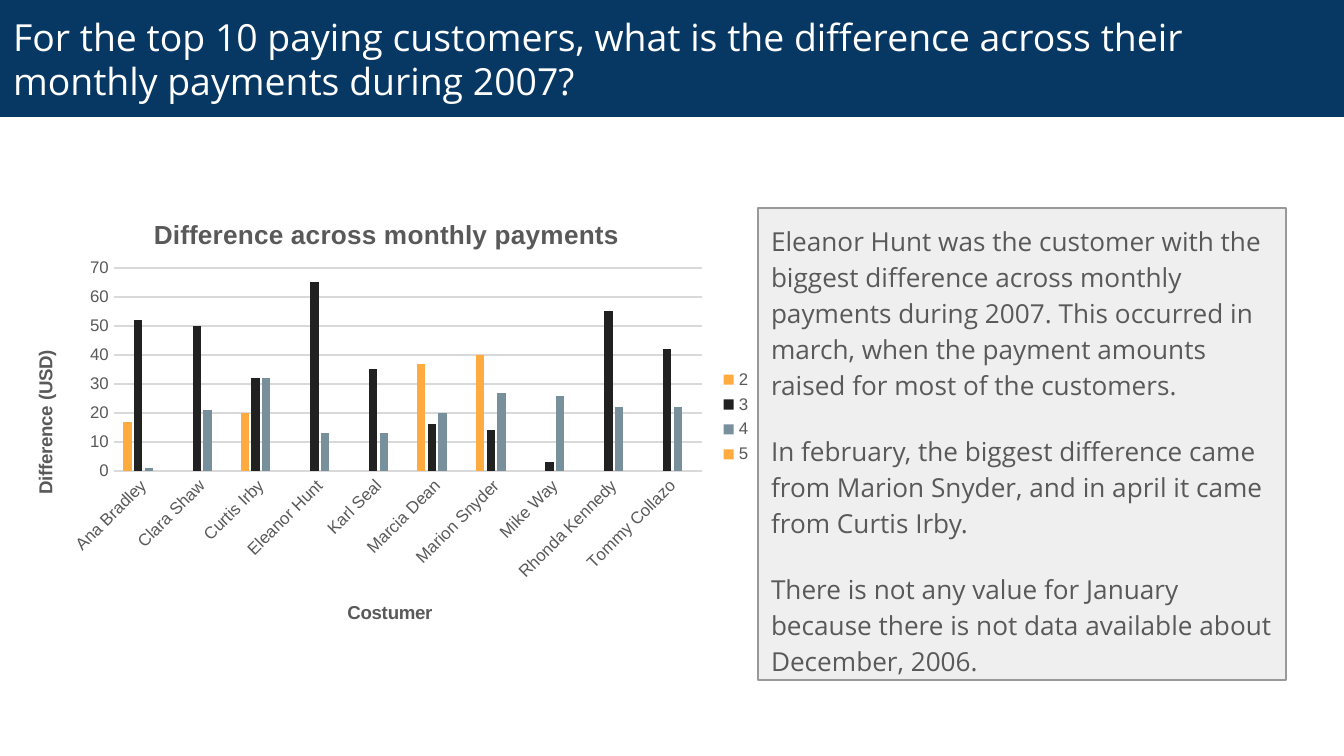
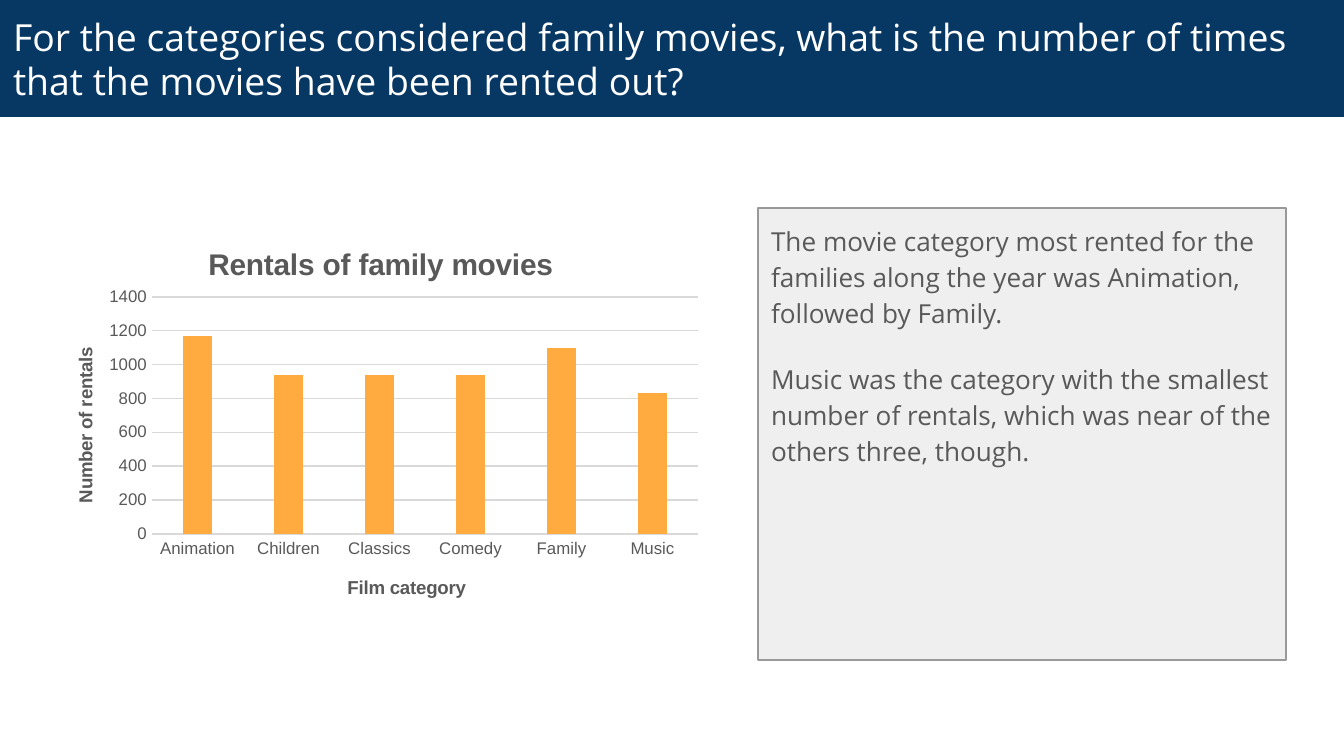
from dataclasses import dataclass

from lxml import etree
from pptx import Presentation
from pptx.chart.data import CategoryChartData
from pptx.dml.color import RGBColor
from pptx.enum.chart import XL_CHART_TYPE, XL_LEGEND_POSITION, XL_TICK_MARK
from pptx.enum.text import MSO_ANCHOR, MSO_AUTO_SIZE, PP_ALIGN
from pptx.oxml.ns import qn
from pptx.util import Emu, Pt

COLUMNS = XL_CHART_TYPE.COLUMN_CLUSTERED
LEGEND_RIGHT = XL_LEGEND_POSITION.RIGHT
NO_TICK = XL_TICK_MARK.NONE
TOP, MIDDLE = MSO_ANCHOR.TOP, MSO_ANCHOR.MIDDLE
NO_FIT = MSO_AUTO_SIZE.NONE
LEFT = PP_ALIGN.LEFT

SLIDES = [
    {
        "title": "For the top 10 paying customers, what is the difference across their "
                 "monthly payments during 2007?",
        "findings": [
            "Eleanor Hunt was the customer with the biggest difference across monthly "
            "payments during 2007. This occurred in march, when the payment amounts "
            "raised for most of the customers.",
            "In february, the biggest difference came from Marion Snyder, and in april "
            "it came from Curtis Irby.",
            "There is not any value for January because there is not data available "
            "about December, 2006.",
        ],
        "panel_height": 472,
        "chart": {
            "box": (0, 188, 765, 458),
            "plot": (114, 268, 588, 203),
            "title": ("Difference across monthly payments", 14, (149, 213)),
            "category_title": ("Costumer", (344, 597)),
            "value_title": ("Difference (USD)", (30, 347)),
            "categories": ["Ana Bradley", "Clara Shaw", "Curtis Irby", "Eleanor Hunt",
                           "Karl Seal", "Marcia Dean", "Marion Snyder", "Mike Way",
                           "Rhonda Kennedy", "Tommy Collazo"],
            "series": {
                "2": [17, None, 20, None, None, 37, 40, None, None, None],
                "3": [52, 50, 32, 65, 35, 16, 14, 3, 55, 42],
                "4": [1, 21, 32, 13, 13, 20, 27, 26, 22, 22],
                "5": [None] * 10,
            },
            "scale": (70, 10),
            "label_angle": -45,
        },
    },
    {
        "title": "For the categories considered family movies, what is the number of "
                 "times that the movies have been rented out?",
        "findings": [
            "The movie category most rented for the families along the year was "
            "Animation, followed by Family.",
            "Music was the category with the smallest number of rentals, which was "
            "near of the others three, though.",
        ],
        "panel_height": 452,
        "chart": {
            "box": (40, 219, 672, 403),
            "plot": (152, 297, 546, 237),
            "title": ("Rentals of family movies", 16, (203, 240)),
            "category_title": ("Film category", (344, 572)),
            "value_title": ("Number of rentals", (70, 344)),
            "categories": ["Animation", "Children", "Classics", "Comedy", "Family",
                           "Music"],
            "series": {"Series 1": [1170, 940, 940, 940, 1100, 830]},
            "scale": (1400, 200),
            "label_angle": 0,
        },
    },
]


@dataclass(frozen=True)
class Theme:
    band: str = "073763"
    white: str = "FFFFFF"
    panel: str = "EFEFEF"
    border: str = "999999"
    text: str = "595959"
    grid: str = "D9D9D9"
    series: tuple = ("FFAB40", "212121", "78909C", "FFAB40")
    text_font: str = "Open Sans"
    chart_font: str = "Arial"
    title_size: int = 20
    body_size: int = 14
    axis_title_size: int = 10
    label_size: int = 9
    line: float = 0.75


THEME = Theme()
SCALE = 914400 / 134.4
PAGE_WIDTH, PAGE_HEIGHT = 1344, 756
TITLE_BOX = (0, 0, PAGE_WIDTH, 117)
PANEL_LEFT, PANEL_TOP, PANEL_WIDTH = 758, 208, 528
INSET = 13


def px(length):
    return Emu(round(length * SCALE))


def color(value):
    return RGBColor.from_string(value)


def format_font(font, size, name=THEME.chart_font, fill=THEME.text, bold=False):
    font.size, font.name, font.bold = Pt(size), name, bold
    font.color.rgb = color(fill)


def write_text(frame, texts, size, align=None, spacing=None, after=None, **style):
    for index, text in enumerate(texts):
        para = frame.add_paragraph() if index else frame.paragraphs[0]
        para.alignment = align
        if spacing:
            para.line_spacing = spacing
        if after is not None:
            para.space_before, para.space_after = Pt(0), Pt(after)
        span = para.add_run()
        span.text = text
        format_font(span.font, size, **style)


def format_box(box, bounds, fill, anchor):
    box.left, box.top, box.width, box.height = map(px, bounds)
    box.fill.solid()
    box.fill.fore_color.rgb = color(fill)
    frame = box.text_frame
    frame.word_wrap, frame.auto_size = True, NO_FIT
    frame.vertical_anchor = anchor
    frame.margin_left = frame.margin_right = px(INSET)
    frame.margin_top = frame.margin_bottom = px(INSET)
    return frame


def add_title(page, text):
    frame = format_box(page.shapes.title, TITLE_BOX, THEME.band, MIDDLE)
    write_text(frame, [text], THEME.title_size, align=LEFT,
               name=THEME.text_font, fill=THEME.white)


def add_findings(page, texts, height):
    box = page.placeholders[1]
    bounds = (PANEL_LEFT, PANEL_TOP, PANEL_WIDTH, height)
    frame = format_box(box, bounds, THEME.panel, TOP)
    box.line.color.rgb = color(THEME.border)
    box.line.width = Pt(THEME.line)
    write_text(frame, texts, THEME.body_size, align=LEFT, spacing=1.15, after=16,
               name=THEME.text_font)
    for para in frame.paragraphs:
        properties = para._p.get_or_add_pPr()
        properties.set("marL", "0")
        properties.set("indent", "0")
        etree.SubElement(properties, qn("a:buNone"))


def set_layout(element, position, chart_box, inner=False):
    for previous in element.findall(qn("c:layout")):
        element.remove(previous)
    layout = etree.Element(qn("c:layout"))
    manual = etree.SubElement(layout, qn("c:manualLayout"))
    left, top, width, height = chart_box
    values = [("xMode", "edge"), ("yMode", "edge"),
              ("x", (position[0] - left) / width), ("y", (position[1] - top) / height)]
    if inner:
        values.insert(0, ("layoutTarget", "inner"))
        values += [("w", position[2] / width), ("h", position[3] / height)]
    for name, value in values:
        etree.SubElement(manual, qn(f"c:{name}")).set("val", str(value))
    element.insert(0 if inner else 1, layout)


def rotate(chart, selector, degrees):
    for body in chart.element.xpath(selector):
        body.set("rot", str(degrees * 60000))
        body.set("vert", "horz")


def add_chart_title(title, text, size, position, chart_box):
    write_text(title.text_frame, [text], size, bold=True)
    set_layout(title.element, position, chart_box)


def format_line(line):
    line.color.rgb = color(THEME.grid)
    line.width = Pt(THEME.line)


def format_axes(chart, details):
    axes = ((chart.category_axis, "category_title"), (chart.value_axis, "value_title"))
    for axis, key in axes:
        text, position = details[key]
        axis.major_tick_mark = axis.minor_tick_mark = NO_TICK
        format_font(axis.tick_labels.font, THEME.label_size)
        add_chart_title(axis.axis_title, text, THEME.axis_title_size, position,
                        details["box"])
    format_line(chart.category_axis.format.line)
    values = chart.value_axis
    values.format.line.fill.background()
    values.minimum_scale = 0
    values.maximum_scale, values.major_unit = details["scale"]
    format_line(values.major_gridlines.format.line)
    rotate(chart, "//c:valAx/c:title//a:bodyPr", -90)
    rotate(chart, "//c:catAx/c:txPr/a:bodyPr", details["label_angle"])


def add_column_chart(page, details):
    data = CategoryChartData()
    data.categories = details["categories"]
    for name, values in details["series"].items():
        data.add_series(name, values)
    bounds = map(px, details["box"])
    chart = page.shapes.add_chart(COLUMNS, *bounds, data).chart
    format_font(chart.font, THEME.axis_title_size)
    add_chart_title(chart.chart_title, *details["title"], details["box"])
    format_axes(chart, details)
    plot = chart.plots[0]
    plot.gap_width, plot.overlap, plot.vary_by_categories = 219, -27, False
    for series, fill in zip(plot.series, THEME.series):
        series.format.fill.solid()
        series.format.fill.fore_color.rgb = color(fill)
    chart.has_legend = len(details["series"]) > 1
    if chart.has_legend:
        chart.legend.position = LEGEND_RIGHT
        chart.legend.include_in_layout = False
        format_font(chart.legend.font, THEME.label_size)
    plot_area = chart.element.xpath("//c:plotArea")[0]
    set_layout(plot_area, details["plot"], details["box"], inner=True)


def main():
    deck = Presentation()
    deck.slide_width, deck.slide_height = px(PAGE_WIDTH), px(PAGE_HEIGHT)
    for content in SLIDES:
        page = deck.slides.add_slide(deck.slide_layouts[1])
        add_findings(page, content["findings"], content["panel_height"])
        add_title(page, content["title"])
        add_column_chart(page, content["chart"])
    deck.save("out.pptx")


if __name__ == "__main__":
    main()
